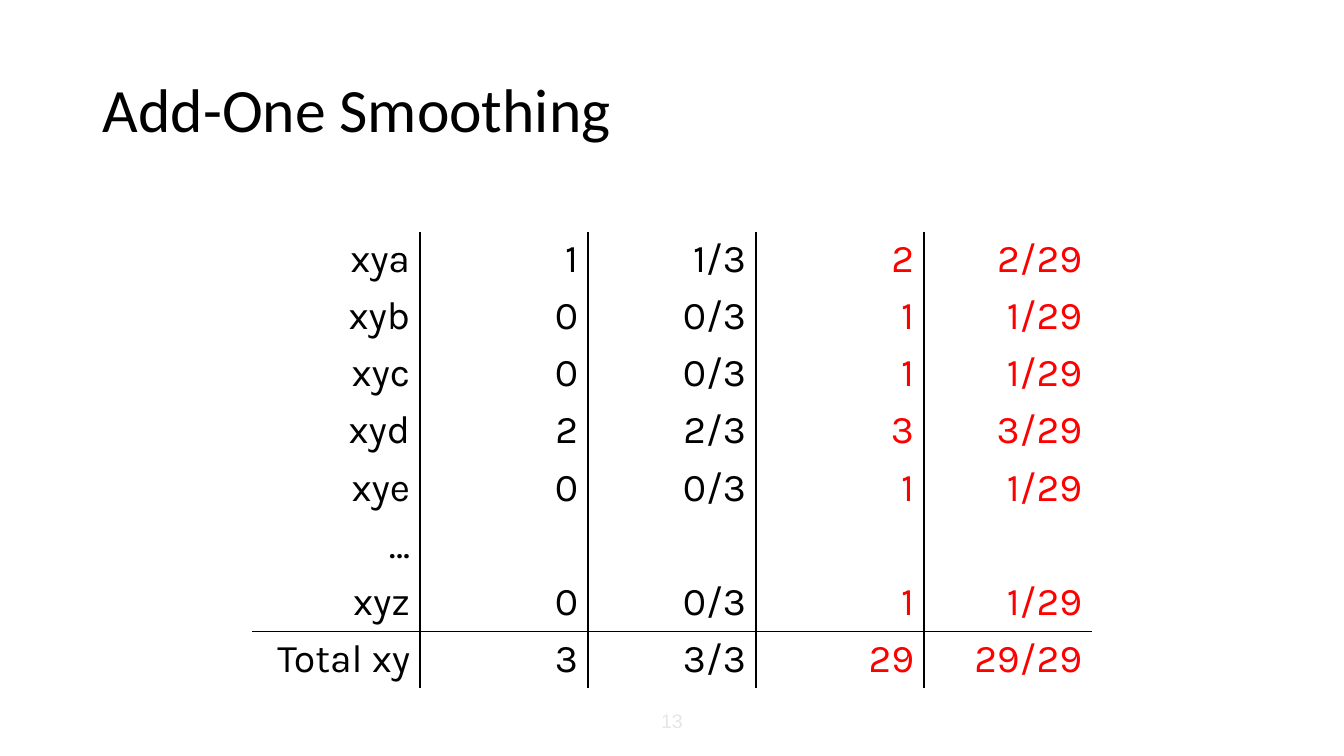
from lxml.etree import SubElement
from pptx import Presentation
from pptx.dml.color import RGBColor
from pptx.enum.text import MSO_ANCHOR, PP_ALIGN
from pptx.oxml.ns import qn
from pptx.util import Pt

EMU_PER_PIXEL = 914400 / 100.8
BLACK, RED, PALE_GREY = "000000", "FF0000", "E7E6E6"
CELL_MARGINS = {"margin_left": 10, "margin_right": 10, "margin_top": 5, "margin_bottom": 5}


def pixels(value):
    return round(value * EMU_PER_PIXEL)


def color(value):
    return RGBColor.from_string(value)


def set_attributes(target, values):
    for name, value in values.items():
        setattr(target, name, value)


class SlideBuilder:
    fonts = {"title": "Calibri", "table": "Karla", "number": "Arial"}
    sizes = {"title": 44, "table": 28, "number": 14}

    def __init__(self, presentation):
        self.slide = presentation.slides.add_slide(presentation.slide_layouts[6])

    def fill_paragraph(self, paragraph, text, role, font_color, alignment, line_spacing=1.0):
        set_attributes(paragraph, {"alignment": alignment, "line_spacing": line_spacing})
        run = paragraph.add_run()
        run.text = text
        set_attributes(run.font, {"name": self.fonts[role], "size": Pt(self.sizes[role])})
        run.font.color.rgb = color(font_color)

    def text(self, box, text, role, font_color, alignment, line_spacing=1.0):
        shape = self.slide.shapes.add_textbox(*map(pixels, box))
        set_attributes(shape.text_frame, {"word_wrap": True, "vertical_anchor": MSO_ANCHOR.MIDDLE})
        paragraph = shape.text_frame.paragraphs[0]
        self.fill_paragraph(paragraph, text, role, font_color, alignment, line_spacing)

    def borders(self, cell, visible_sides):
        properties = cell._tc.get_or_add_tcPr()
        for side in "LRTB":
            line = SubElement(properties, qn(f"a:ln{side}"), w=str(Pt(1)))
            if side in visible_sides:
                fill = SubElement(line, qn("a:solidFill"))
                SubElement(fill, qn("a:srgbClr"), val=BLACK)
            else:
                SubElement(line, qn("a:noFill"))

    def table(self, left, top, column_width, row_height, rows, column_colors):
        row_count, column_count = len(rows), len(column_colors)
        box = (left, top, column_width * column_count, row_height * row_count)
        table = self.slide.shapes.add_table(row_count, column_count, *map(pixels, box)).table
        set_attributes(table, {"first_row": False, "horz_banding": False})
        for column in table.columns:
            column.width = pixels(column_width)
        for row_index, values in enumerate(rows):
            table.rows[row_index].height = pixels(row_height)
            for column_index, value in enumerate(values):
                cell = table.cell(row_index, column_index)
                set_attributes(cell, {name: pixels(size) for name, size in CELL_MARGINS.items()})
                sides = {
                    "L": column_index > 0,
                    "R": column_index < column_count - 1,
                    "T": row_index == row_count - 1,
                    "B": row_index == row_count - 2,
                }
                self.borders(cell, [side for side, visible in sides.items() if visible])
                cell.fill.background()
                if value:
                    self.fill_paragraph(cell.text_frame.paragraphs[0], value, "table",
                                        column_colors[column_index], PP_ALIGN.RIGHT)


def count_row(label, count, total, smoothed, smoothed_total):
    return [label, str(count), f"{count}/{total}", str(smoothed), f"{smoothed}/{smoothed_total}"]


counts = {"xya": 1, "xyb": 0, "xyc": 0, "xyd": 2, "xye": 0, "…": None, "xyz": 0}
total, smoothed_total = 3, 29
trigram_rows = [
    [label, "", "", "", ""] if count is None
    else count_row(label, count, total, count + 1, smoothed_total)
    for label, count in counts.items()
]
trigram_rows.append(count_row("Total xy", total, total, smoothed_total, smoothed_total))

presentation = Presentation()
set_attributes(presentation, {"slide_width": pixels(1344), "slide_height": pixels(756)})
builder = SlideBuilder(presentation)
builder.text((93, 40, 1159, 146), "Add-One Smoothing", "title", BLACK, PP_ALIGN.LEFT, 0.9)
builder.table(252, 232, 168, 57, trigram_rows, [BLACK] * 3 + [RED] * 2)
builder.text((622, 701, 100, 40), "13", "number", PALE_GREY, PP_ALIGN.CENTER)
presentation.save("out.pptx")
